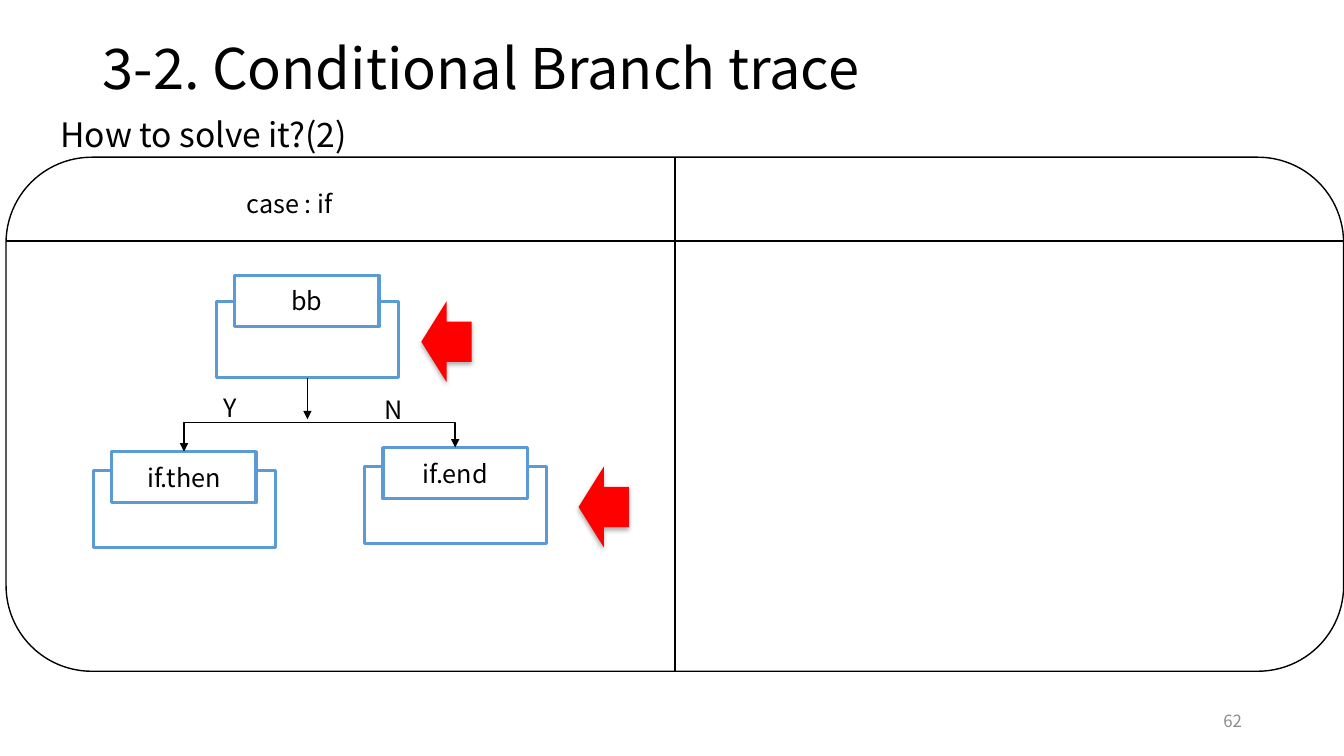
from lxml import etree
from pptx import Presentation
from pptx.dml.color import RGBColor
from pptx.enum.shapes import MSO_CONNECTOR, MSO_SHAPE
from pptx.enum.text import MSO_ANCHOR, PP_ALIGN
from pptx.oxml import parse_xml
from pptx.oxml.ns import nsdecls, qn
from pptx.util import Inches, Pt

RECT, ROUNDED, LEFT_ARROW = MSO_SHAPE.RECTANGLE, MSO_SHAPE.ROUNDED_RECTANGLE, MSO_SHAPE.LEFT_ARROW
STRAIGHT, ELBOW = MSO_CONNECTOR.STRAIGHT, MSO_CONNECTOR.ELBOW
TOP, MIDDLE = MSO_ANCHOR.TOP, MSO_ANCHOR.MIDDLE
LEFT, CENTER, RIGHT = PP_ALIGN.LEFT, PP_ALIGN.CENTER, PP_ALIGN.RIGHT

WIDTH, HEIGHT = Inches(13.33), Inches(7.5)
COLUMNS, ROWS = 40, 30
FONT = "Noto Sans CJK KR"
BLACK, WHITE, BLUE, RED, GRAY = "000000", "FFFFFF", "5B9BD5", "FF0000", "8C8C8C"

BODY_W, BODY_H = 5.4, 3.04
LABEL_W, LABEL_H = 4.29, 2.04
LABEL_INDENT = 0.54
BRANCH_ROW = 16.76


def col(n):
    return round(WIDTH * n / COLUMNS)


def row(n):
    return round(HEIGHT * n / ROWS)


def cells(x, y, w, h):
    return col(x), row(y), col(w), row(h)


def color(value):
    return RGBColor.from_string(value)


def write(frame, text, size, ink=BLACK, align=LEFT, anchor=TOP, wrap=True):
    frame.word_wrap = wrap
    frame.vertical_anchor = anchor
    paragraph = frame.paragraphs[0]
    paragraph.text = text
    paragraph.alignment = align
    paragraph.font.name = FONT
    paragraph.font.size = Pt(size)
    paragraph.font.color.rgb = color(ink)
    return paragraph


def add_text(slide, area, text, size, **style):
    return write(slide.shapes.add_textbox(*cells(*area)).text_frame, text, size, **style)


def add_box(slide, kind, area, fill=None, line=None, weight=1):
    box = slide.shapes.add_shape(kind, *cells(*area))
    box.shadow.inherit = False
    if fill:
        box.fill.solid()
        box.fill.fore_color.rgb = color(fill)
    else:
        box.fill.background()
    if line:
        box.line.color.rgb = color(line)
        box.line.width = Pt(weight)
    else:
        box.line.fill.background()
    return box


def add_block(slide, x, y, name, rise):
    body = add_box(slide, RECT, (x, y, BODY_W, BODY_H), line=BLUE, weight=2.25)
    label = add_box(slide, RECT, (x + LABEL_INDENT, y - rise, LABEL_W, LABEL_H), WHITE, BLUE, 2.25)
    write(label.text_frame, name, 18, align=CENTER, anchor=MIDDLE)
    return body, label


def add_marker(slide, x, y):
    marker = add_box(slide, LEFT_ARROW, (x, y, 1.5, 3.2), RED)
    effects = marker._element.spPr.find(qn("a:effectLst"))
    effects.append(parse_xml(
        f'<a:outerShdw {nsdecls("a")} blurRad="{Pt(3.5)}" dist="{Pt(2.2)}" dir="5400000" rotWithShape="0">'
        f'<a:srgbClr val="{BLACK}"><a:alpha val="32000"/></a:srgbClr></a:outerShdw>'))


def add_line(slide, start, end, kind=STRAIGHT, arrows=()):
    line = slide.shapes.add_connector(kind, *start, *end)
    line.line.color.rgb = color(BLACK)
    line.line.width = Pt(1)
    for arrow in arrows:
        etree.SubElement(line.line._get_or_add_ln(), qn(f"a:{arrow}")).set("type", "triangle")
    etree.SubElement(line._element.spPr, qn("a:effectLst"))
    return line


def add_branch(slide, left, right):
    left_x, right_x = (label.left + label.width // 2 for label in (left, right))
    center_x, center_y = (left_x + right_x) // 2, (left.top + right.top) // 2
    half_span, half_rise = (right_x - left_x) // 2, (left.top - right.top) // 2
    branch = add_line(slide, (center_x + half_rise, center_y + half_span),
                      (center_x - half_rise, center_y - half_span), ELBOW, ("headEnd", "tailEnd"))
    branch._element.spPr.find(qn("a:xfrm")).set("rot", "5400000")
    bend = round((left.top - row(BRANCH_ROW)) / (2 * half_rise) * 100000)
    geometry = branch._element.spPr.find(qn("a:prstGeom"))
    guide = etree.SubElement(geometry.find(qn("a:avLst")), qn("a:gd"))
    guide.set("name", "adj1")
    guide.set("fmla", f"val {bend}")


def main():
    deck = Presentation()
    deck.slide_width, deck.slide_height = WIDTH, HEIGHT
    slide = deck.slides.add_slide(deck.slide_layouts[6])

    panel = add_box(slide, ROUNDED, (0.18, 6.24, 39.81, 20.4), WHITE, BLACK)
    add_text(slide, (28.26, 27.8, 9, 1.6), "62", 12, ink=GRAY, align=RIGHT, anchor=MIDDLE)

    _, then_label = add_block(slide, 2.79, 18.68, "if.then", 0.76)
    _, end_label = add_block(slide, 10.86, 18.52, "if.end", 0.76)
    entry, _ = add_block(slide, 6.45, 11.96, "bb", 1.04)
    add_text(slide, (6.36, 15.36, 1.38, 1.6), "Y", 18)
    add_text(slide, (11.16, 15.44, 1.38, 1.6), "N", 18)
    add_marker(slide, 12.54, 11.96)
    add_marker(slide, 17.22, 18.52)

    add_branch(slide, then_label, end_label)
    entry_x = entry.left + entry.width // 2
    exit_arrow = add_line(slide, (entry_x, entry.top + entry.height), (entry_x, row(16.64)),
                          arrows=("tailEnd",))
    exit_arrow.begin_connect(entry, 2)
    middle = panel.left + panel.width // 2
    divider = add_line(slide, (middle, panel.top), (middle, panel.top + panel.height))
    divider.begin_connect(panel, 0)
    divider.end_connect(panel, 2)
    add_line(slide, (panel.left, row(9.56)), (panel.left + panel.width, row(9.56)))

    add_text(slide, (7.05, 7.28, 6.18, 1.6), "case : if", 18)
    add_text(slide, (1.5, 4.32, 9.21, 2), "How to solve it?(2)", 24, wrap=False)
    title = add_text(slide, (2.76, 1.6, 34.5, 2.44), "3-2. Conditional Branch trace", 40, anchor=MIDDLE)
    title.line_spacing = 0.9
    deck.save("out.pptx")


if __name__ == "__main__":
    main()
